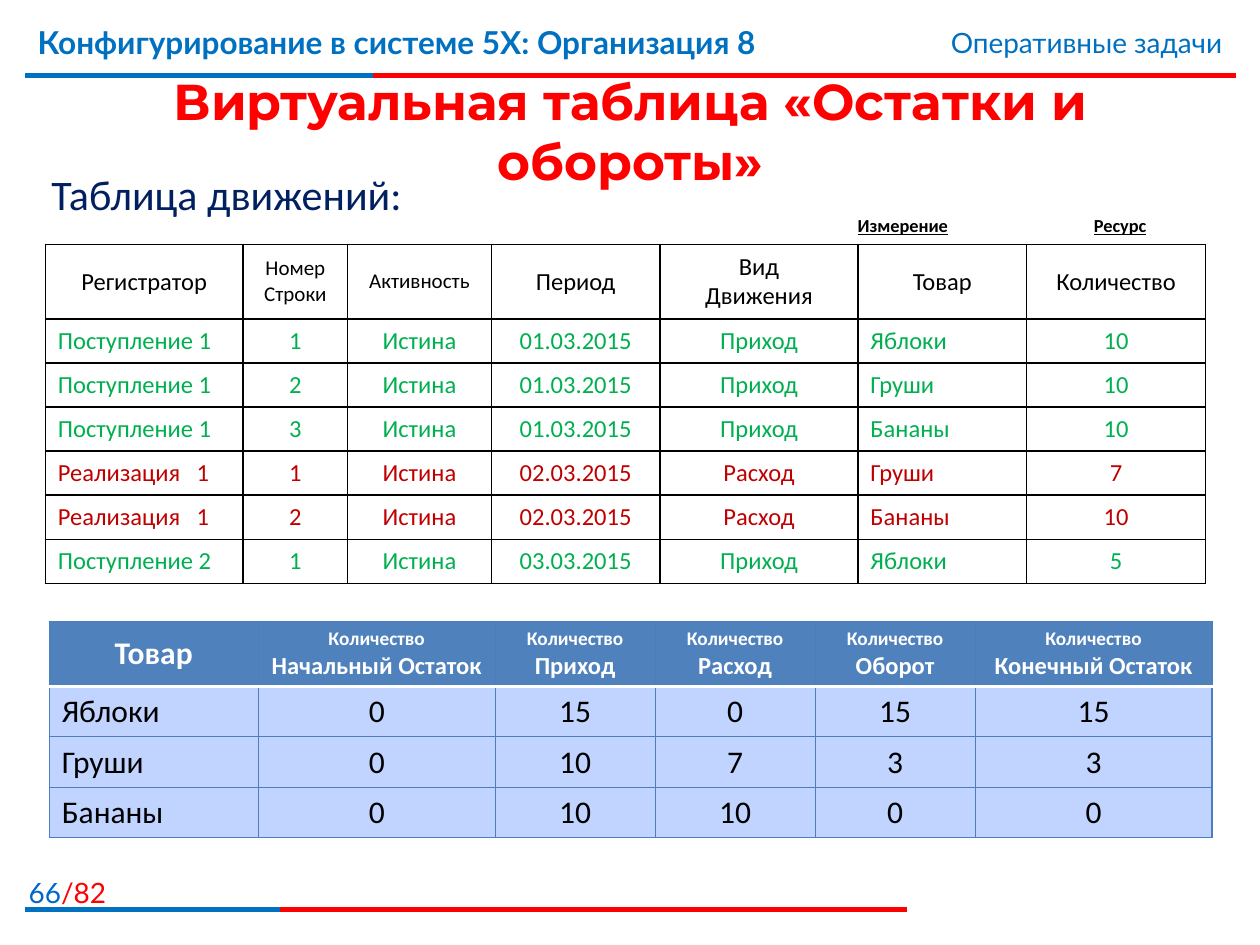
from dataclasses import dataclass
from typing import NamedTuple, Optional, Sequence

from lxml.etree import SubElement
from pptx import Presentation
from pptx.dml.color import RGBColor
from pptx.enum.shapes import MSO_CONNECTOR
from pptx.enum.text import MSO_ANCHOR, MSO_AUTO_SIZE, PP_ALIGN
from pptx.oxml.ns import qn
from pptx.util import Inches, Pt


@dataclass(frozen=True)
class Theme:
    """Colours, fonts and type sizes of the slide."""
    blue: str = "0070C0"
    page_blue: str = "0066CC"
    red: str = "FF0000"
    navy: str = "002060"
    black: str = "000000"
    white: str = "FFFFFF"
    receipt: str = "00B050"
    expense: str = "C00000"
    header_fill: str = "4F81BD"
    body_fill: str = "C0D4FF"
    table_line: str = "4B7EBC"
    frame_font: str = "Lato"
    body_font: str = "Calibri"
    title_font: str = "Montserrat"
    title: float = 28.8
    subtitle: float = 24
    large: float = 18
    running: float = 16
    cell: float = 14
    small: float = 12
    caption: float = 11
    label: float = 10.5


THEME = Theme()
GRID_COLUMNS, GRID_ROWS = 1000, 750
SLIDE_WIDTH, SLIDE_HEIGHT = Inches(10), Inches(7.5)


class Area(NamedTuple):
    """Place on the slide in grid columns and rows."""
    left: int
    top: int
    width: int
    height: int


class Style(NamedTuple):
    """Look of a paragraph."""
    size: float
    color: str
    font: str = THEME.body_font
    bold: bool = False
    underline: bool = False
    align: PP_ALIGN = PP_ALIGN.CENTER


class Label(NamedTuple):
    """Text box with a single paragraph."""
    area: Area
    text: str
    style: Style
    wrap: bool = True


class Rule(NamedTuple):
    """Red frame line with a blue beginning."""
    row: int
    blue_end: int
    red_end: int


class CellLook(NamedTuple):
    """Fill and border of a table cell."""
    border: str
    width: float
    fill: Optional[str] = None
    bottom: Optional[str] = None


def across(columns: int) -> int:
    """Convert grid columns to a length."""
    return SLIDE_WIDTH * columns // GRID_COLUMNS


def down(rows: int) -> int:
    """Convert grid rows to a length."""
    return SLIDE_HEIGHT * rows // GRID_ROWS


def place(area: Area) -> tuple:
    """Give left, top, width and height as lengths."""
    return across(area.left), down(area.top), across(area.width), down(area.height)


def format_paragraph(paragraph, style: Style) -> None:
    """Apply a style to a whole paragraph."""
    paragraph.alignment = style.align
    font = paragraph.font
    font.name, font.size = style.font, Pt(style.size)
    font.bold, font.underline = style.bold, style.underline
    font.color.rgb = RGBColor.from_string(style.color)


def draw_label(slide, label: Label):
    """Draw a text box and return its paragraph."""
    frame = slide.shapes.add_textbox(*place(label.area)).text_frame
    frame.word_wrap = label.wrap
    paragraph = frame.paragraphs[0]
    paragraph.text = label.text
    format_paragraph(paragraph, label.style)
    return paragraph


def draw_rule(slide, rule: Rule) -> None:
    """Draw the red line and the blue line over it."""
    for end, color in ((rule.red_end, THEME.red), (rule.blue_end, THEME.blue)):
        line = slide.shapes.add_connector(
            MSO_CONNECTOR.STRAIGHT, across(20), down(rule.row), across(end), down(rule.row))
        line.line.color.rgb = RGBColor.from_string(color)
        line.line.width = Pt(3)
        SubElement(line._element.spPr, qn("a:effectLst"))


def draw_title(slide, area: Area, text: str, style: Style) -> None:
    """Move and format the title placeholder."""
    title = slide.shapes.title
    title.left, title.top, title.width, title.height = place(area)
    frame = title.text_frame
    frame.text = text
    frame.word_wrap = True
    frame.auto_size = MSO_AUTO_SIZE.NONE
    frame.vertical_anchor = MSO_ANCHOR.MIDDLE
    format_paragraph(frame.paragraphs[0], style)


def add_table(slide, area: Area, columns: Sequence[int], rows: Sequence[int]):
    """Add an unbanded table with the given column and row sizes."""
    table = slide.shapes.add_table(len(rows), len(columns), *place(area)).table
    table.first_row = table.horz_banding = False
    for column, width in zip(table.columns, columns):
        column.width = across(width)
    for row, height in zip(table.rows, rows):
        row.height = down(height)
    return table


def fill_cell(cell, lines: Sequence[str], styles: Sequence[Style], look: CellLook) -> None:
    """Write a cell and set its borders and fill."""
    cell.vertical_anchor = MSO_ANCHOR.MIDDLE
    cell.text = "\n".join(lines)
    for paragraph, style in zip(cell.text_frame.paragraphs, styles):
        if "\t" in paragraph.text:
            stops = SubElement(paragraph._p.get_or_add_pPr(), qn("a:tabLst"))
            SubElement(stops, qn("a:tab"), pos=str(across(110)), algn="l")
        format_paragraph(paragraph, style)
    properties = cell._tc.get_or_add_tcPr()
    for side in ("lnL", "lnR", "lnT", "lnB"):
        marked = side == "lnB" and look.bottom
        border = SubElement(properties, qn(f"a:{side}"), w=str(Pt(2 if marked else look.width)))
        solid = SubElement(border, qn("a:solidFill"))
        SubElement(solid, qn("a:srgbClr"), val=look.bottom if marked else look.border)
    if look.fill:
        cell.fill.solid()
        cell.fill.fore_color.rgb = RGBColor.from_string(look.fill)
    else:
        cell.fill.background()


def draw_movements(slide) -> None:
    """Draw the table of register movements."""
    headers = ("Регистратор", "Номер\nСтроки", "Активность", "Период",
               "Вид\nДвижения", "Товар", "Количество")
    movements = (
        ("Поступление 1", "1", "01.03.2015", "Приход", "Яблоки", "10"),
        ("Поступление 1", "2", "01.03.2015", "Приход", "Груши", "10"),
        ("Поступление 1", "3", "01.03.2015", "Приход", "Бананы", "10"),
        ("Реализация\t1", "1", "02.03.2015", "Расход", "Груши", "7"),
        ("Реализация\t1", "2", "02.03.2015", "Расход", "Бананы", "10"),
        ("Поступление 2", "1", "03.03.2015", "Приход", "Яблоки", "5"),
    )
    table = add_table(slide, Area(36, 194, 921, 269), (157, 83, 114, 134, 157, 134, 142),
                      (59,) + (35,) * len(movements))
    look = CellLook(THEME.black, 1)
    for column, header in enumerate(headers):
        size = THEME.small if column in (1, 2) else THEME.cell
        fill_cell(table.cell(0, column), header.split("\n"), [Style(size, THEME.black)] * 2, look)
    for row, (recorder, number, period, kind, product, amount) in enumerate(movements, 1):
        color = THEME.receipt if kind == "Приход" else THEME.expense
        values = (recorder, number, "Истина", period, kind, product, amount)
        for column, value in enumerate(values):
            align = PP_ALIGN.LEFT if column in (0, 5) else PP_ALIGN.CENTER
            fill_cell(table.cell(row, column), [value], [Style(THEME.cell, color, align=align)], look)


def draw_balances(slide) -> None:
    """Draw the table of balances and turnovers."""
    measures = ("Начальный Остаток", "Приход", "Расход", "Оборот", "Конечный Остаток")
    balances = (("Яблоки", 0, 15, 0, 15, 15), ("Груши", 0, 10, 7, 3, 3), ("Бананы", 0, 10, 10, 0, 0))
    table = add_table(slide, Area(39, 493, 923, 168), (166, 188, 127, 127, 127, 188),
                      (51,) + (39,) * len(balances))
    header_look = CellLook(THEME.table_line, 0.75, THEME.header_fill, THEME.white)
    body_look = CellLook(THEME.table_line, 0.75, THEME.body_fill)
    large, caption, medium = (Style(size, THEME.white, bold=True)
                              for size in (THEME.large, THEME.caption, THEME.cell))
    fill_cell(table.cell(0, 0), ["Товар"], [large], header_look)
    for column, measure in enumerate(measures, 1):
        fill_cell(table.cell(0, column), ["Количество", measure], [caption, medium], header_look)
    for row, values in enumerate(balances, 1):
        for column, value in enumerate(values):
            align = PP_ALIGN.CENTER if column else PP_ALIGN.LEFT
            style = Style(THEME.large, THEME.black, align=align)
            fill_cell(table.cell(row, column), [str(value)], [style], body_look)


def main() -> None:
    """Build and save the slide."""
    presentation = Presentation()
    presentation.slide_width, presentation.slide_height = SLIDE_WIDTH, SLIDE_HEIGHT
    slide = presentation.slides.add_slide(presentation.slide_layouts.get_by_name("Title Only"))
    for rule in (Rule(60, 296, 981), Rule(722, 222, 720)):
        draw_rule(slide, rule)
    draw_title(slide, Area(20, 62, 961, 83), "Виртуальная таблица «Остатки и обороты»",
               Style(THEME.title, THEME.red, THEME.title_font, bold=True))
    heading = Style(THEME.large, THEME.blue, THEME.frame_font, bold=True, align=PP_ALIGN.LEFT)
    section = Style(THEME.running, THEME.blue, THEME.frame_font, align=PP_ALIGN.RIGHT)
    subtitle = Style(THEME.subtitle, THEME.navy, align=PP_ALIGN.LEFT)
    role = Style(THEME.label, THEME.black, bold=True, underline=True)
    for label in (
        Label(Area(20, 13, 740, 62), "Конфигурирование в системе 5Х: Организация 8", heading),
        Label(Area(594, 15, 386, 37), "Оперативные задачи", section),
        Label(Area(31, 129, 318, 50), "Таблица движений:", subtitle, wrap=False),
        Label(Area(669, 165, 95, 29), "Измерение", role, wrap=False),
        Label(Area(857, 165, 64, 29), "Ресурс", role, wrap=False),
    ):
        draw_label(slide, label)
    page = draw_label(slide, Label(Area(-10, 690, 104, 32), "66", section._replace(color=THEME.page_blue)))
    total = page.add_run()
    total.text = "/82"
    for run, color in zip(page.runs, (THEME.page_blue, THEME.red)):
        run.font.color.rgb = RGBColor.from_string(color)
    draw_movements(slide)
    draw_balances(slide)
    presentation.save("out.pptx")


if __name__ == "__main__":
    main()
